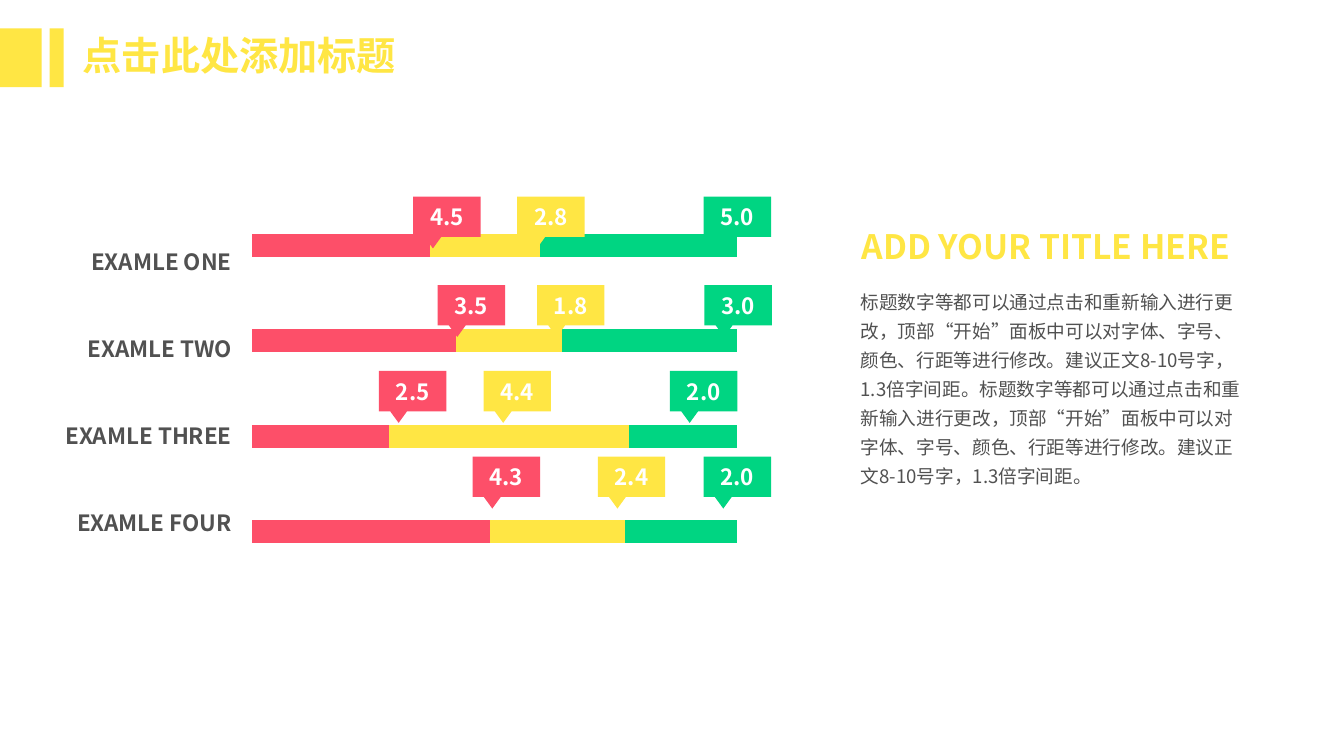
from dataclasses import dataclass

from lxml import etree
from pptx import Presentation
from pptx import util as u
from pptx.chart import data as chart_data
from pptx.dml import color
from pptx.enum import chart as chart_enum
from pptx.enum import lang, shapes, text
from pptx.oxml import ns


@dataclass(frozen=True)
class Theme:
    red: str = "FD4F69"
    yellow: str = "FFE644"
    green: str = "00D582"
    grey: str = "515151"
    white: str = "FFFFFF"
    font: str = "Noto Sans CJK SC"
    chart_font: str = "Calibri"
    title_size: float = 28
    heading_size: float = 24
    label_size: float = 16
    body_size: float = 13.3
    chart_size: float = 10

    @property
    def series_colors(self):
        return self.red, self.yellow, self.green


def apply(target, values):
    for name, value in values.items():
        setattr(target, name, value)


class SlideBuilder:
    def __init__(self, slide, theme):
        self.slide = slide
        self.theme = theme

    def box(self, left, top, width, height):
        return [u.Pt(value) for value in (left, top, width, height)]

    def fill_text(self, shape, content, size, hex_color, bold=True, frame=None, paragraph=None):
        text_frame = shape.text_frame
        text_frame.text = content
        apply(text_frame, {"word_wrap": True, "auto_size": text.MSO_AUTO_SIZE.NONE} | (frame or {}))
        first = text_frame.paragraphs[0]
        apply(first, {"alignment": text.PP_ALIGN.LEFT, "space_before": u.Pt(0)} | (paragraph or {}))
        font = first.runs[0].font
        apply(font, {
            "name": self.theme.font,
            "size": u.Pt(size),
            "bold": bold,
            "language_id": lang.MSO_LANGUAGE_ID.SIMPLIFIED_CHINESE,
        })
        font.color.rgb = color.RGBColor.from_string(hex_color)
        properties = first.runs[0]._r.get_or_add_rPr()
        latin = properties.find(ns.qn("a:latin"))
        east_asian = etree.Element(ns.qn("a:ea"), typeface=self.theme.font)
        latin.addnext(east_asian)

    def title(self, content, bounds):
        shape = self.slide.shapes.title
        apply(shape, dict(zip(("left", "top", "width", "height"), self.box(*bounds))))
        self.fill_text(shape, content, self.theme.title_size, self.theme.yellow,
                       frame={"vertical_anchor": text.MSO_ANCHOR.MIDDLE},
                       paragraph={"line_spacing": 0.9})

    def text(self, content, bounds, size, hex_color, **style):
        shape = self.slide.shapes.add_textbox(*self.box(*bounds))
        self.fill_text(shape, content, size, hex_color, **style)

    def block(self, kind, bounds, hex_color):
        shape = self.slide.shapes.add_shape(kind, *self.box(*bounds))
        shape.shadow.inherit = False
        shape.fill.solid()
        shape.fill.fore_color.rgb = color.RGBColor.from_string(hex_color)
        shape.line.fill.background()
        return shape

    def callout(self, content, left, top, hex_color):
        kind = shapes.MSO_SHAPE.RECTANGULAR_CALLOUT
        shape = self.block(kind, (left, top, 48.2, 28.8), hex_color)
        shape.adjustments[0] = -0.208
        shape.adjustments[1] = 0.788
        self.fill_text(shape, content, self.theme.label_size, self.theme.white,
                       frame={"vertical_anchor": text.MSO_ANCHOR.MIDDLE},
                       paragraph={"alignment": text.PP_ALIGN.CENTER})

    def stacked_bars(self, categories, series, bounds):
        data = chart_data.CategoryChartData()
        data.categories = categories
        for name, values in series.items():
            data.add_series(name, values)
        kind = chart_enum.XL_CHART_TYPE.BAR_STACKED_100
        chart = self.slide.shapes.add_chart(kind, *self.box(*bounds), data).chart
        apply(chart, {"has_legend": False, "has_title": False})
        apply(chart.font, {"name": self.theme.chart_font, "size": u.Pt(self.theme.chart_size)})
        chart.font.color.rgb = color.RGBColor(0, 0, 0)
        for axis in (chart.category_axis, chart.value_axis):
            apply(axis, {"visible": False, "has_major_gridlines": False})
        plot = chart.plots[0]
        apply(plot, {"gap_width": 315, "overlap": 100, "vary_by_categories": False})
        for bar, hex_color in zip(plot.series, self.theme.series_colors):
            bar.format.fill.solid()
            bar.format.fill.fore_color.rgb = color.RGBColor.from_string(hex_color)
        self.fit_plot(chart, {"x": 0.02, "y": 0.02, "w": 0.96, "h": 0.96})

    def fit_plot(self, chart, fractions):
        plot_area = chart._chartSpace.find(".//" + ns.qn("c:plotArea"))
        for old in plot_area.findall(ns.qn("c:layout")):
            plot_area.remove(old)
        layout = etree.Element(ns.qn("c:layout"))
        manual = etree.SubElement(layout, ns.qn("c:manualLayout"))
        settings = {"layoutTarget": "inner", "xMode": "edge", "yMode": "edge"} | fractions
        for name, value in settings.items():
            etree.SubElement(manual, ns.qn("c:" + name), val=str(value))
        plot_area.insert(0, layout)


SERIES = {
    "Series 1": (49, 28, 42, 37),
    "Series 2": (28, 49, 22, 23),
    "Series 3": (23, 22, 36, 41),
}
ROWS = (
    ("EXAMLE ONE", 140.4, (("4.5", 295.2), ("2.8", 369.4), ("5.0", 502.6))),
    ("EXAMLE TWO", 203.6, (("3.5", 312.6), ("1.8", 383.6), ("3.0", 503.2))),
    ("EXAMLE THREE", 265, (("2.5", 270.7), ("4.4", 345.4), ("2.0", 478.6))),
    ("EXAMLE FOUR", 326.2, (("4.3", 337.6), ("2.4", 427), ("2.0", 502.6))),
)
ADVICE = (
    "标题数字等都可以通过点击和重新输入进行更改，顶部“开始”面板中可以对字体、字号、颜色、"
    "行距等进行修改。建议正文8-10号字，1.3倍字间距。"
)


def main():
    presentation = Presentation()
    apply(presentation, {"slide_width": u.Pt(960), "slide_height": u.Pt(540)})
    theme = Theme()
    slide = presentation.slides.add_slide(presentation.slide_layouts[5])
    builder = SlideBuilder(slide, theme)

    for left, width in ((0, 29.8), (35.5, 10)):
        builder.block(shapes.MSO_SHAPE.RECTANGLE, (left, 20.2, width, 42), theme.yellow)
    builder.title("点击此处添加标题", (52, 20.2, 415, 42))

    builder.stacked_bars(("1", "2", "3", "4"), SERIES, (172.8, 135.4, 360.7, 284.4))
    for index, (label, callout_top, callouts) in enumerate(ROWS):
        builder.text(label, (20, 164.2 + 62.2 * index, 152.6, 36), theme.label_size, theme.grey,
                     paragraph={"alignment": text.PP_ALIGN.RIGHT, "line_spacing": 1.5})
        for (value, left), hex_color in zip(callouts, theme.series_colors):
            builder.callout(value, left, callout_top, hex_color)

    builder.text("ADD YOUR TITLE HERE", (608.4, 157.7, 300, 36), theme.heading_size, theme.yellow)
    builder.text(ADVICE * 2, (607.7, 199.4, 293, 154), theme.body_size, theme.grey,
                 bold=False, paragraph={"line_spacing": 1.3})

    presentation.save("out.pptx")


if __name__ == "__main__":
    main()
